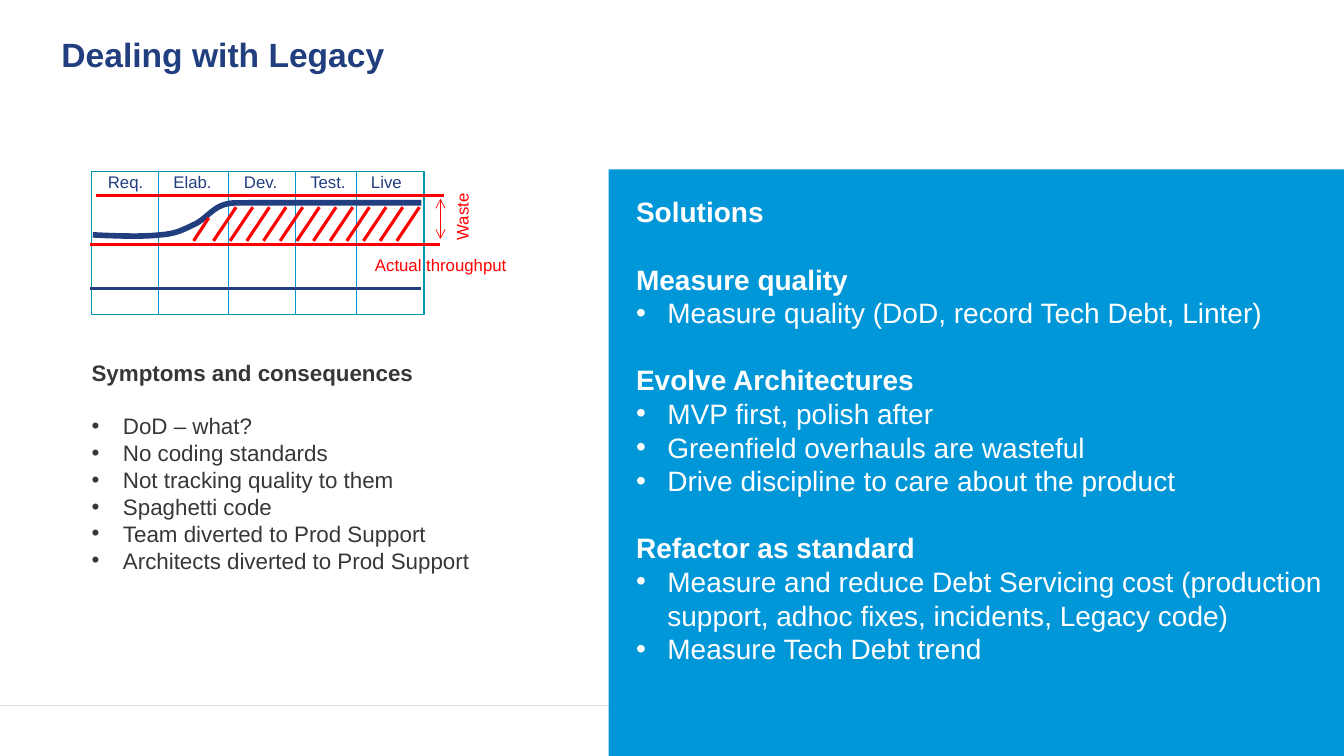
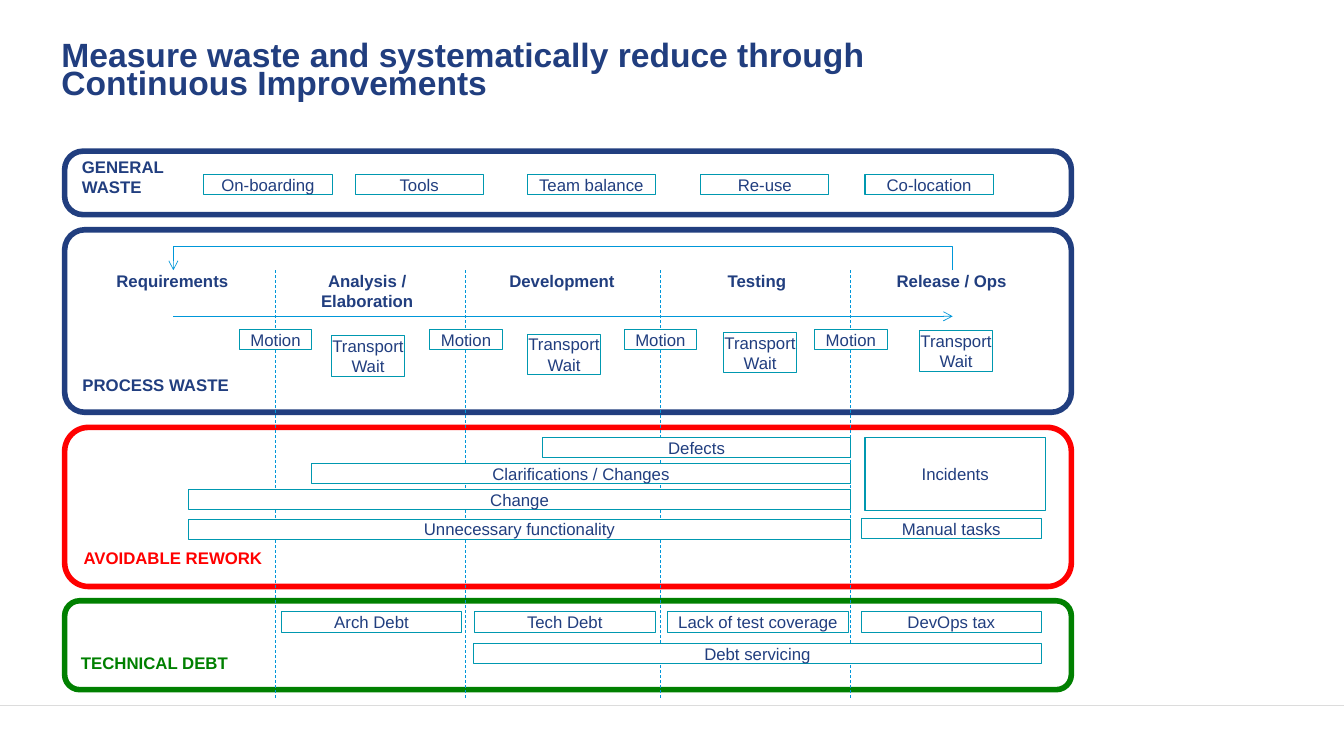
from collections import namedtuple
from dataclasses import dataclass

from lxml import etree
from pptx import Presentation
from pptx.dml.color import RGBColor
from pptx.enum.dml import MSO_LINE
from pptx.enum.shapes import MSO_CONNECTOR, MSO_SHAPE
from pptx.enum.text import MSO_ANCHOR, PP_ALIGN
from pptx.oxml.ns import qn
from pptx.util import Cm, Pt

RECT, ROUNDED = MSO_SHAPE.RECTANGLE, MSO_SHAPE.ROUNDED_RECTANGLE
STRAIGHT, DASH = MSO_CONNECTOR.STRAIGHT, MSO_LINE.DASH
TOP, MIDDLE, BOTTOM = MSO_ANCHOR.TOP, MSO_ANCHOR.MIDDLE, MSO_ANCHOR.BOTTOM
LEFT, CENTER = PP_ALIGN.LEFT, PP_ALIGN.CENTER

FONT = "Arial"
COLORS = {
    "navy": "213E7F", "blue": "0097D9", "teal": "0098B0", "red": "FF0000",
    "green": "008000", "text": "373737", "white": "FFFFFF", "rule": "DCDCDC",
}
SLIDE_W, SLIDE_H = 33.87, 19.05
LABEL_H = 0.51
STAGE_DIVIDERS = (5.31, 10.11, 15.01, 19.81)

Box = namedtuple("Box", "left top width height")


@dataclass
class Line:
    """One paragraph, with the format that sets it apart in its box."""
    text: str
    bold: bool = False
    bullet: bool = False
    gap: float = 0


def rgb(name):
    """Return the named colour."""
    return RGBColor.from_string(COLORS[name])


def write(shape, lines, size=12, color="navy", bold=False, align=LEFT, anchor=TOP,
          insets=(0, 0, 0, 0), wrap=True, spacing=None):
    """Fill a shape with paragraphs given as strings or Line objects."""
    frame = shape.text_frame
    frame.word_wrap = wrap
    frame.vertical_anchor = anchor
    (frame.margin_left, frame.margin_top,
     frame.margin_right, frame.margin_bottom) = map(Cm, insets)
    for index, item in enumerate(lines):
        line = item if isinstance(item, Line) else Line(item, bold)
        paragraph = frame.add_paragraph() if index else frame.paragraphs[0]
        if line.bullet:
            properties = paragraph._p.get_or_add_pPr()
            properties.set("marL", str(Cm(0.79)))
            properties.set("indent", str(Cm(-0.79)))
            etree.SubElement(properties, qn("a:buFont")).set("typeface", FONT)
            etree.SubElement(properties, qn("a:buChar")).set("char", "•")
        paragraph.alignment = align
        if line.gap:
            paragraph.space_before = Pt(line.gap)
        if spacing:
            paragraph.line_spacing = Pt(spacing)
        run = paragraph.add_run()
        run.text = line.text
        run.font.name = FONT
        run.font.size = Pt(size)
        run.font.bold = line.bold
        run.font.color.rgb = rgb(color)


def add_label(slide, box, lines, rotation=0, **text_format):
    """Place plain text in a box."""
    label = slide.shapes.add_textbox(*map(Cm, box))
    label.rotation = rotation
    write(label, lines, **text_format)


def add_panel(slide, box, kind=RECT, fill=None, line=None, width=0.75):
    """Place a filled or outlined preset shape."""
    panel = slide.shapes.add_shape(kind, *map(Cm, box))
    panel.shadow.inherit = False
    if fill:
        panel.fill.solid()
        panel.fill.fore_color.rgb = rgb(fill)
    else:
        panel.fill.background()
    if line:
        panel.line.color.rgb = rgb(line)
        panel.line.width = Pt(width)
    else:
        panel.line.fill.background()
    return panel


def add_tag(slide, left, top, width, *lines, height=LABEL_H):
    """Place a white box with a centred caption."""
    tag = add_panel(slide, Box(left, top, width, height), fill="white", line="teal")
    write(tag, lines, align=CENTER, anchor=MIDDLE, wrap=False)


def add_arrowheads(shape, ends):
    """Put open arrowheads on the given ends of an outline."""
    outline = shape._element.spPr.find(qn("a:ln"))
    for end in ends:
        etree.SubElement(outline, qn(f"a:{end}")).set("type", "arrow")


def add_line(slide, start, end, color="blue", width=0.5, dash=None, ends=()):
    """Draw a straight line between two points."""
    line = slide.shapes.add_connector(STRAIGHT, *map(Cm, (*start, *end)))
    line.line.color.rgb = rgb(color)
    line.line.width = Pt(width)
    if dash:
        line.line.dash_style = dash
    add_arrowheads(line, ends)
    etree.SubElement(line._element.spPr, qn("a:effectLst"))


def add_path(slide, points, color="blue", width=0.5, ends=()):
    """Draw an open outline through the points."""
    points = [(Cm(x), Cm(y)) for x, y in points]
    builder = slide.shapes.build_freeform(*points[0])
    builder.add_line_segments(points[1:], close=False)
    path = builder.convert_to_shape()
    path.shadow.inherit = False
    path.fill.background()
    path.line.color.rgb = rgb(color)
    path.line.width = Pt(width)
    add_arrowheads(path, ends)


def bezier(start, first, second, end, steps=10):
    """Return points along a cubic curve, without its start."""
    points = []
    for step in range(1, steps + 1):
        t = step / steps
        weights = ((1 - t) ** 3, 3 * t * (1 - t) ** 2, 3 * t * t * (1 - t), t ** 3)
        knots = (start, first, second, end)
        points.append(tuple(sum(w * k[axis] for w, k in zip(weights, knots))
                            for axis in (0, 1)))
    return points


def outline(blocks, gap):
    """Turn (heading, bullets) blocks into lines with a gap between blocks."""
    lines = []
    for heading, bullets in blocks:
        block = [Line(heading, bold=True)] if heading else []
        block += [Line(bullet, bullet=True) for bullet in bullets]
        block[0].gap = gap if lines else 0
        lines += block
    return lines


def add_titled_slide(deck, title):
    """Add a blank slide with the shared title and footer rule."""
    slide = deck.slides.add_slide(deck.slide_layouts[6])
    add_line(slide, (0, 17.78), (SLIDE_W, 17.78), "rule", 0.75)
    add_label(slide, Box(1.55, 1.04, 24.82, 1.09), [title], size=24, bold=True,
              insets=(0, 0.13, 0.25, 0.13), spacing=19.9)
    return slide


def draw_throughput(slide, box):
    """Draw the throughput sketch with its hatched waste."""
    def at(x, y):
        """Shift a point into the sketch."""
        return box.left + x, box.top + y

    stages = {"Req.": 0.41, "Elab.": 2.06, "Dev.": 3.84, "Test.": 5.51, "Live": 7.04}
    for stage, x in stages.items():
        add_label(slide, Box(*at(x, 0), 1.2, LABEL_H), [stage])
    add_panel(slide, box, line="teal", width=1)
    for x in (1.68, 3.45, 5.13, 6.68):
        add_line(slide, at(x, 0), at(x, box.height))
    add_line(slide, at(8.79, 1.7), at(8.79, 0.69), "red", ends=("headEnd", "tailEnd"))
    add_label(slide, Box(*at(8.74, 0.89), 1.19, LABEL_H), ["Waste"],
              rotation=270, color="red", wrap=False)
    add_label(slide, Box(*at(7.14, 2.11), 3.38, LABEL_H), ["Actual throughput"],
              color="red", wrap=False)
    add_line(slide, at(-0.03, 2.95), at(8.31, 2.95), "navy", 2.25)

    curve = [(0.03, 1.6)]
    for knots in (((0.66, 1.63), (1.3, 1.65), (1.73, 1.6)),
                  ((2.16, 1.57), (2.34, 1.45), (2.62, 1.32)),
                  ((2.87, 1.19), (3.05, 0.94), (3.28, 0.86)),
                  ((3.51, 0.76), (3.71, 0.81), (3.96, 0.79))):
        curve += bezier(curve[-1], *knots)
    curve.append((8.31, 0.79))
    add_path(slide, [at(*point) for point in curve], "navy", 4)

    limits = [((0.1, 0.61), (8.89, 0.61)), ((-0.03, 1.85), (8.79, 1.85))]
    hatches = [((2.95, 1.17), (2.57, 1.75))]
    hatches += [((3.64 + 0.42 * i, 0.9), (3.07 + 0.42 * i, 1.75)) for i in range(12)]
    for start, end in limits + hatches:
        add_line(slide, at(*start), at(*end), "red", 2.25)


def draw_solutions(slide, box):
    """Draw the blue panel of solutions."""
    add_panel(slide, box, fill="blue")
    blocks = [
        ("Solutions", []),
        ("Measure quality", ["Measure quality (DoD, record Tech Debt, Linter)"]),
        ("Evolve Architectures", ["MVP first, polish after",
                                  "Greenfield overhauls are wasteful",
                                  "Drive discipline to care about the product"]),
        ("Refactor as standard", ["Measure and reduce Debt Servicing cost (production "
                                  "support, adhoc fixes, incidents, Legacy code)",
                                  "Measure Tech Debt trend"]),
    ]
    add_label(slide, Box(box.left + 0.69, box.top + 0.64, 17.32, 12.83),
              outline(blocks, 24), size=20, color="white")


def build_legacy(deck):
    """Build the slide on legacy symptoms and solutions."""
    slide = add_titled_slide(deck, "Dealing with Legacy")
    draw_throughput(slide, Box(2.31, 4.32, 8.38, 3.61))
    symptoms = ["DoD – what?", "No coding standards", "Not tracking quality to them",
                "Spaghetti code", "Team diverted to Prod Support",
                "Architects diverted to Prod Support"]
    add_label(slide, Box(2.31, 9.04, 12.22, 5.46),
              outline([("Symptoms and consequences", []), (None, symptoms)], 19.2),
              size=16, color="text")
    draw_solutions(slide, Box(15.34, 4.27, 18.53, 14.78))


def draw_band(slide, box, lines, color, corner):
    """Draw the rounded frame of one kind of waste."""
    band = add_panel(slide, box, ROUNDED, "white", color, 4)
    band.adjustments[0] = corner
    tint = band._element.spPr.find(qn("a:solidFill"))[0]
    etree.SubElement(tint, qn("a:alpha")).set("val", "64000")
    write(band, lines, color=color, bold=True, anchor=BOTTOM, insets=(0.3,) * 4)


def draw_general_waste(slide, box):
    """Place the tags of general waste."""
    tags = {"On-boarding": 3.51, "Tools": 7.32, "Team balance": 11.66,
            "Re-use": 16.03, "Co-location": 20.17}
    for tag, x in tags.items():
        add_tag(slide, box.left + x, box.top + 0.58, 3.23, tag)


def draw_process_waste(slide, box):
    """Place the stages, their flow and the waste between them."""
    stages = (["Requirements"], ["Analysis /", "Elaboration"], ["Development"],
              ["Testing"], ["Release / Ops"])
    for index, stage in enumerate(stages):
        add_label(slide, Box(box.left + 0.71 + 4.91 * index, box.top + 1.02, 4.01,
                             LABEL_H * len(stage)), stage, bold=True, align=CENTER)
    first, last = box.left + 2.74, box.left + 22.38
    feedback = [(last, 1.02), (last, 0.41), (first, 0.41), (first, 1.02)]
    add_path(slide, [(x, box.top + y) for x, y in feedback], ends=("tailEnd",))
    add_line(slide, (first, box.top + 2.18), (last, box.top + 2.18), ends=("tailEnd",))
    for index, x in enumerate(STAGE_DIVIDERS):
        add_tag(slide, box.left + x - 0.91, box.top + 2.51, 1.83, "Motion")
        add_tag(slide, box.left + 6.73 + 4.94 * index, box.top + 2.67 - 0.04 * index,
                1.83, "Transport", "Wait", height=2 * LABEL_H)


def draw_rework(slide, box):
    """Place the bars of avoidable rework."""
    bars = (("Defects", 12.04, 0.25), ("Clarifications / Changes", 6.22, 0.91),
            ("Change", 3.12, 1.57), ("Unnecessary functionality", 3.12, 2.31))
    for bar, x, y in bars:
        add_tag(slide, box.left + x, box.top + y, STAGE_DIVIDERS[-1] - x, bar)
    add_tag(slide, box.left + 20.07, box.top + 2.29, 4.55, "Manual tasks")
    add_tag(slide, box.left + 20.17, box.top + 0.25, 4.55, "Incidents", height=1.85)


def draw_debt(slide, box):
    """Place the kinds of technical debt."""
    debts = ("Arch Debt", "Tech Debt", "Lack of test coverage", "DevOps tax")
    for index, debt in enumerate(debts):
        add_tag(slide, box.left + 5.46 + 4.87 * index, box.top + 0.28, 4.55, debt)
    add_tag(slide, box.left + 10.31, box.top + 1.07, 14.3, "Debt servicing")


def build_waste(deck):
    """Build the slide on the four kinds of waste."""
    slide = add_titled_slide(deck, "Measure waste and systematically reduce through "
                                   "Continuous Improvements")
    left, width = 1.63, 25.37
    bands = (
        (3.81, 1.6, ["GENERAL", "WASTE"], "navy", 0.29, draw_general_waste),
        (5.79, 4.6, ["PROCESS WASTE"], "navy", 0.11, draw_process_waste),
        (10.77, 4.01, ["AVOIDABLE REWORK"], "red", 0.15, draw_rework),
        (15.14, 2.24, ["TECHNICAL DEBT"], "green", 0.17, draw_debt),
    )
    for top, height, lines, color, corner, _ in bands:
        draw_band(slide, Box(left, top, width, height), lines, color, corner)
    for x in STAGE_DIVIDERS:
        add_line(slide, (left + x, 6.81), (left + x, 17.63), dash=DASH)
    for top, height, *_, draw_content in bands:
        draw_content(slide, Box(left, top, width, height))


def main():
    """Build and save the deck."""
    deck = Presentation()
    deck.slide_width, deck.slide_height = Cm(SLIDE_W), Cm(SLIDE_H)
    build_legacy(deck)
    build_waste(deck)
    deck.save("out.pptx")


if __name__ == "__main__":
    main()
